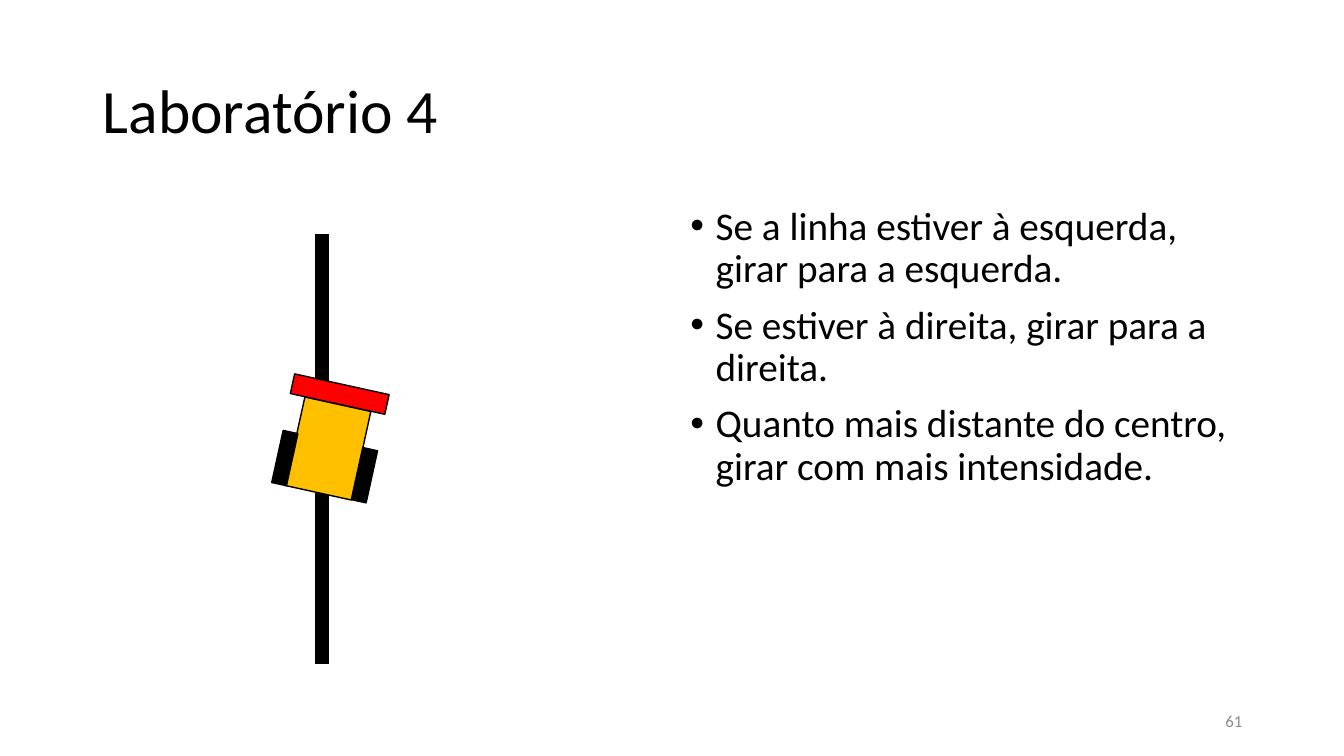
from lxml.etree import SubElement
from pptx import Presentation
from pptx.dml.color import RGBColor
from pptx.enum.shapes import MSO_CONNECTOR, MSO_SHAPE
from pptx.enum.text import MSO_ANCHOR, PP_ALIGN
from pptx.oxml.ns import qn
from pptx.util import Inches, Pt

BLACK = RGBColor(0x00, 0x00, 0x00)
GRAY = RGBColor(0x8C, 0x8C, 0x8C)
AMBER = RGBColor(0xFF, 0xC0, 0x00)
RED = RGBColor(0xFF, 0x00, 0x00)
ROBOT_TILT = 12.4

presentation = Presentation()
presentation.slide_width = Inches(13.33)
presentation.slide_height = Inches(7.5)
slide = presentation.slides.add_slide(presentation.slide_layouts[6])


def add_text(left, top, width, height, lines, size, color, anchor):
    box = slide.shapes.add_textbox(
        Inches(left), Inches(top), Inches(width), Inches(height))
    frame = box.text_frame
    frame.word_wrap = True
    frame.vertical_anchor = anchor
    frame.text = "\n".join(lines)
    for paragraph in frame.paragraphs:
        paragraph.font.name = "Calibri"
        paragraph.font.size = Pt(size)
        paragraph.font.color.rgb = color
    return frame


# Title
title = add_text(0.92, 0.4, 11.5, 1.45, ["Laboratório 4"], 44, BLACK,
                 MSO_ANCHOR.MIDDLE)
title.paragraphs[0].line_spacing = 0.9

# Steering rules
rules = add_text(6.75, 2, 5.67, 4.76, [
    "Se a linha estiver à esquerda, girar para a esquerda.",
    "Se estiver à direita, girar para a direita.",
    "Quanto mais distante do centro, girar com mais intensidade.",
], 28, BLACK, MSO_ANCHOR.TOP)
for index, rule in enumerate(rules.paragraphs):
    rule.line_spacing = 0.9
    rule.space_before = Pt(10 if index else 0)
    properties = rule._p.get_or_add_pPr()
    properties.set("marL", str(Inches(0.25)))
    properties.set("indent", str(Inches(-0.25)))
    # The bullet must stand before the default run properties
    bullet_font = SubElement(properties, qn("a:buFont"), typeface="Arial")
    bullet = SubElement(properties, qn("a:buChar"), char="•")
    run_defaults = properties.find(qn("a:defRPr"))
    run_defaults.addprevious(bullet_font)
    run_defaults.addprevious(bullet)

# Slide number
number = add_text(9.42, 6.95, 3, 0.4, ["61"], 12, GRAY, MSO_ANCHOR.MIDDLE)
number.paragraphs[0].alignment = PP_ALIGN.RIGHT

# Line on the floor
track = slide.shapes.add_connector(
    MSO_CONNECTOR.STRAIGHT,
    Inches(3.19), Inches(2.32), Inches(3.19), Inches(6.59))
track.line.color.rgb = BLACK
track.line.width = Pt(10)
SubElement(track._element.spPr, qn("a:effectLst"))

# Robot: chassis, left wheel, right wheel, sensor bar
robot_parts = [
    (2.92, 4, 0.67, 0.9, AMBER),
    (2.75, 4.28, 0.15, 0.53, BLACK),
    (3.54, 4.45, 0.15, 0.53, BLACK),
    (2.89, 3.81, 0.96, 0.2, RED),
]
for left, top, width, height, color in robot_parts:
    part = slide.shapes.add_shape(
        MSO_SHAPE.RECTANGLE,
        Inches(left), Inches(top), Inches(width), Inches(height))
    part.rotation = ROBOT_TILT
    part.shadow.inherit = False
    part.fill.solid()
    part.fill.fore_color.rgb = color
    part.line.color.rgb = BLACK
    part.line.width = Pt(1)

presentation.save("out.pptx")
